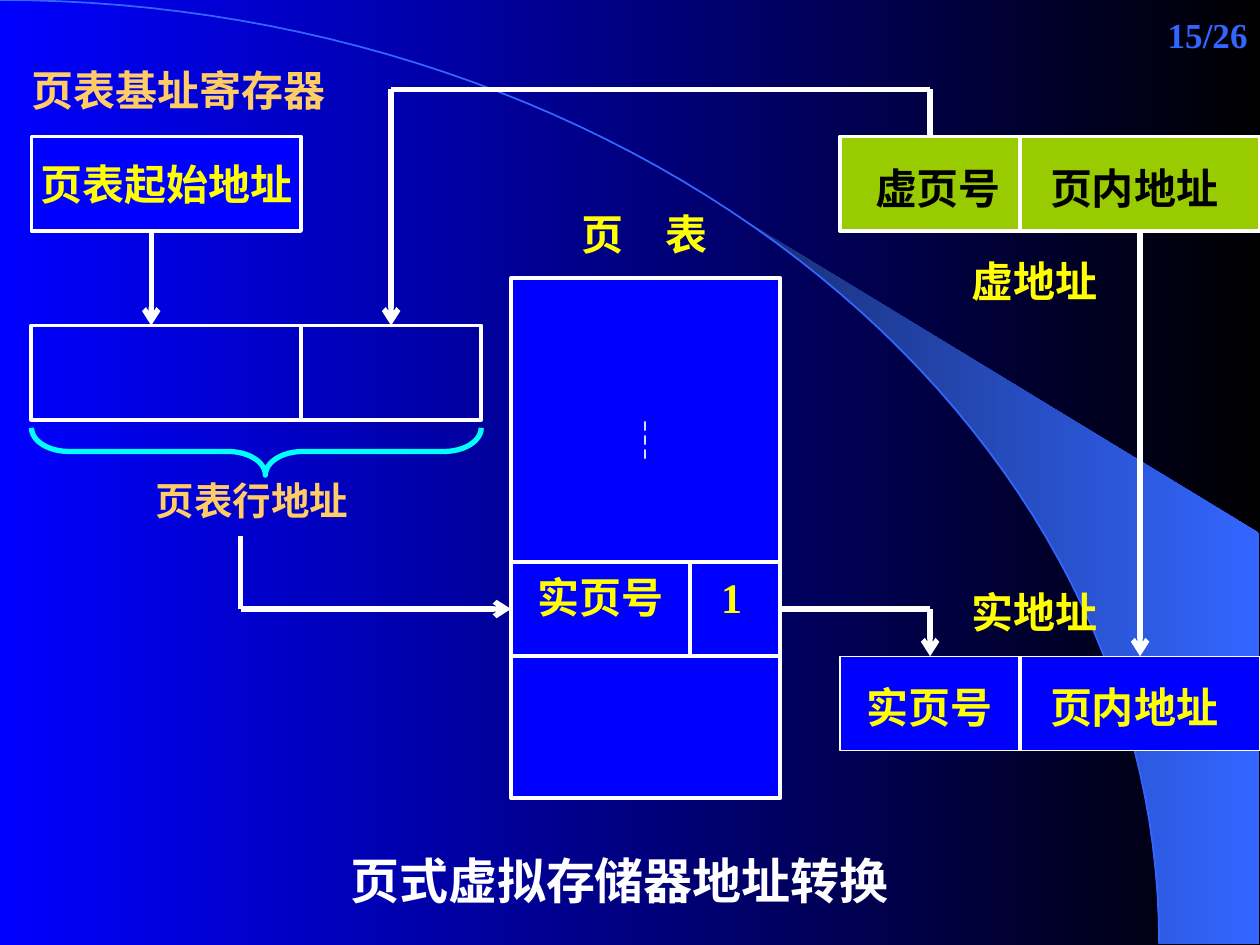
from math import asin, cos, pi, sin
from pptx import Presentation
from pptx.dml.color import RGBColor as Rgb
from pptx.enum.shapes import MSO_CONNECTOR as Link, MSO_SHAPE as Kind
from pptx.enum.text import MSO_ANCHOR as Anchor, PP_ALIGN as Align
from pptx.oxml.ns import qn
from pptx.util import Pt
from lxml.etree import SubElement as Sub

HUES = {"blue": "0000FF", "black": "000000", "white": "FFFFFF", "gold": "FFFF00",
        "sand": "FFCC66", "lime": "99CC00", "cyan": "00FFFF", "sky": "3366FF",
        "navy": "182F76"}
SERIF, SANS, HAN = "Times New Roman", "Arial", "Noto Sans CJK SC"
WIDE, HIGH = 720, 540
ARC_W, ARC_H = 662.4, 539.3


def hue(name):
    return Rgb.from_string(HUES[name])


def place(shape, box):
    shape.left, shape.top, shape.width, shape.height = map(Pt, box)


def blend(fill, start, end):
    fill.gradient()
    fill.gradient_angle = 0
    for stop, name in zip(fill.gradient_stops, (start, end)):
        stop.color.rgb = hue(name)


def paint(shape, fill=None, line=None, width=2.25):
    shape.shadow.inherit = False
    if fill:
        shape.fill.solid()
        shape.fill.fore_color.rgb = hue(fill)
    else:
        shape.fill.background()
    if line:
        shape.line.color.rgb = hue(line)
        shape.line.width = Pt(width)
    else:
        shape.line.fill.background()


def setup(frame, top=0, side=0, anchor=Anchor.MIDDLE, wrap=True):
    frame.margin_left = frame.margin_right = Pt(side)
    frame.margin_top, frame.margin_bottom = Pt(top), 0
    frame.vertical_anchor = anchor
    frame.word_wrap = wrap


def write(para, text, color, size=24, face=SERIF, align=Align.LEFT):
    para.alignment = align
    run = para.add_run()
    run.text = text
    font = run.font
    font.size, font.bold, font.name = Pt(size), True, face
    font.color.rgb = hue(color)
    Sub(run._r.get_or_add_rPr(), qn("a:ea"), typeface=HAN)


def columns(para, words, spots, color):
    tabs = Sub(para._p.get_or_add_pPr(), qn("a:tabLst"))
    for spot in spots:
        Sub(tabs, qn("a:tab"), pos=str(Pt(spot)), algn="ctr")
    write(para, "".join("\t" + word for word in words), color)


def label(shapes, box, text, color="gold", size=24, align=Align.CENTER, top=3, side=0):
    frame = shapes.add_textbox(*map(Pt, box)).text_frame
    setup(frame, top, side)
    write(frame.paragraphs[0], text, color, size, align=align)


def block(shapes, box, fill=None, width=2.25):
    shape = shapes.add_shape(Kind.RECTANGLE, *map(Pt, box))
    paint(shape, fill, "white", width)
    setup(shape.text_frame)
    return shape.text_frame


def pair(shapes, box, words, spots, fill, color, width):
    frame = block(shapes, box, fill, width)
    setup(frame, top=4)
    columns(frame.paragraphs[0], words, spots, color)


def line(shapes, start, end, width=2.25, arrow=False):
    link = shapes.add_connector(Link.STRAIGHT, *map(Pt, start + end))
    link.line.color.rgb = hue("white")
    link.line.width = Pt(width)
    if arrow:
        Sub(link.line._get_or_add_ln(), qn("a:tailEnd"), type="arrow")
    Sub(link._element.spPr, qn("a:effectLst"))


def route(shapes, points, arrow=True):
    last = len(points) - 2
    for i, ends in enumerate(zip(points, points[1:])):
        line(shapes, *ends, width=3, arrow=arrow and i == last)


def curve(first, steps=60):
    turns = [first + (pi / 2 - first) * i / steps for i in range(steps + 1)]
    return [(ARC_W * sin(t), ARC_H * (1 - cos(t))) for t in turns]


def outline(shapes, points, close):
    spots = [(Pt(x), Pt(y)) for x, y in points]
    pen = shapes.build_freeform(*spots[0])
    pen.add_line_segments(spots[1:], close=close)
    return pen.convert_to_shape()


def backdrop(slide):
    blend(slide.background.fill, "blue", "black")
    edge = curve(asin(424 / ARC_W))
    beam = outline(slide.shapes, edge + [(719.3, ARC_H), (719.3, 304.6)], True)
    paint(beam)
    blend(beam.fill, "navy", "sky")
    paint(outline(slide.shapes, curve(0), False), line="sky", width=1)


def title(slide):
    head = slide.shapes.title
    place(head, (193, 481, 322, 41))
    setup(head.text_frame, top=3, side=7.2, wrap=False)
    write(head.text_frame.paragraphs[0], "页式虚拟存储器地址转换", "white", 28, SANS)


def register(shapes):
    label(shapes, (18, 24, 171, 54), "页表基址寄存器", "sand", align=Align.LEFT, top=0)
    frame = block(shapes, (18, 78, 154, 54), "blue")
    write(frame.paragraphs[0], "页表起始地址", "gold", align=Align.CENTER)
    block(shapes, (18, 186, 257, 54))
    line(shapes, (172, 186), (172, 240))
    brace = shapes.add_shape(Kind.RIGHT_BRACE, *map(Pt, (133, 129.5, 27, 257)))
    brace.rotation = 90
    brace.adjustments[0], brace.adjustments[1] = 0.79, 0.48
    paint(brace, line="cyan", width=3)
    label(shapes, (89, 273, 120, 25), "页表行地址", "sand", 22, Align.LEFT, top=0)


def table(shapes):
    label(shapes, (309, 105, 119, 54), "页　表")
    frame = block(shapes, (292, 159, 154, 297), "blue")
    setup(frame, top=78, anchor=Anchor.TOP)
    write(frame.paragraphs[0], "┆", "white", face=HAN, align=Align.CENTER)
    row = frame.add_paragraph()
    row.space_before = Pt(61)
    columns(row, ("实页号", "1"), (51, 126), "gold")
    for y in (321, 375):
        line(shapes, (292, y), (446, y))
    line(shapes, (394.5, 321), (394.5, 375))


def address(shapes):
    pair(shapes, (480, 78, 240, 54), ("虚页号", "页内地址"), (56, 168),
         "lime", "black", 2.25)
    pair(shapes, (480, 375, 240, 54), ("实页号", "页内地址"), (51, 168),
         "blue", "gold", 0.75)
    for y in (78, 375):
        line(shapes, (583, y), (583, y + 54))
    for y, text in ((132, "虚地址"), (321, "实地址")):
        label(shapes, (531.5, y, 119.5, 54), text)


def main():
    deck = Presentation()
    deck.slide_width, deck.slide_height = Pt(WIDE), Pt(HIGH)
    slide = deck.slides.add_slide(deck.slide_layouts[5])
    shapes = slide.shapes
    backdrop(slide)
    title(slide)
    label(shapes, (570, 0, 150, 36), "15/26", "sky", 20, Align.RIGHT, side=7.2)
    register(shapes)
    table(shapes)
    address(shapes)
    for points in (
        [(86.4, 132), (86.4, 186)],
        [(531.5, 78), (531.5, 51), (223.5, 51), (223.5, 186)],
        [(137.5, 306), (137.5, 348), (292, 348)],
        [(446, 348), (531.5, 348), (531.5, 375)],
        [(651.5, 132), (651.5, 375)],
    ):
        route(shapes, points)
    deck.save("out.pptx")


if __name__ == "__main__":
    main()
